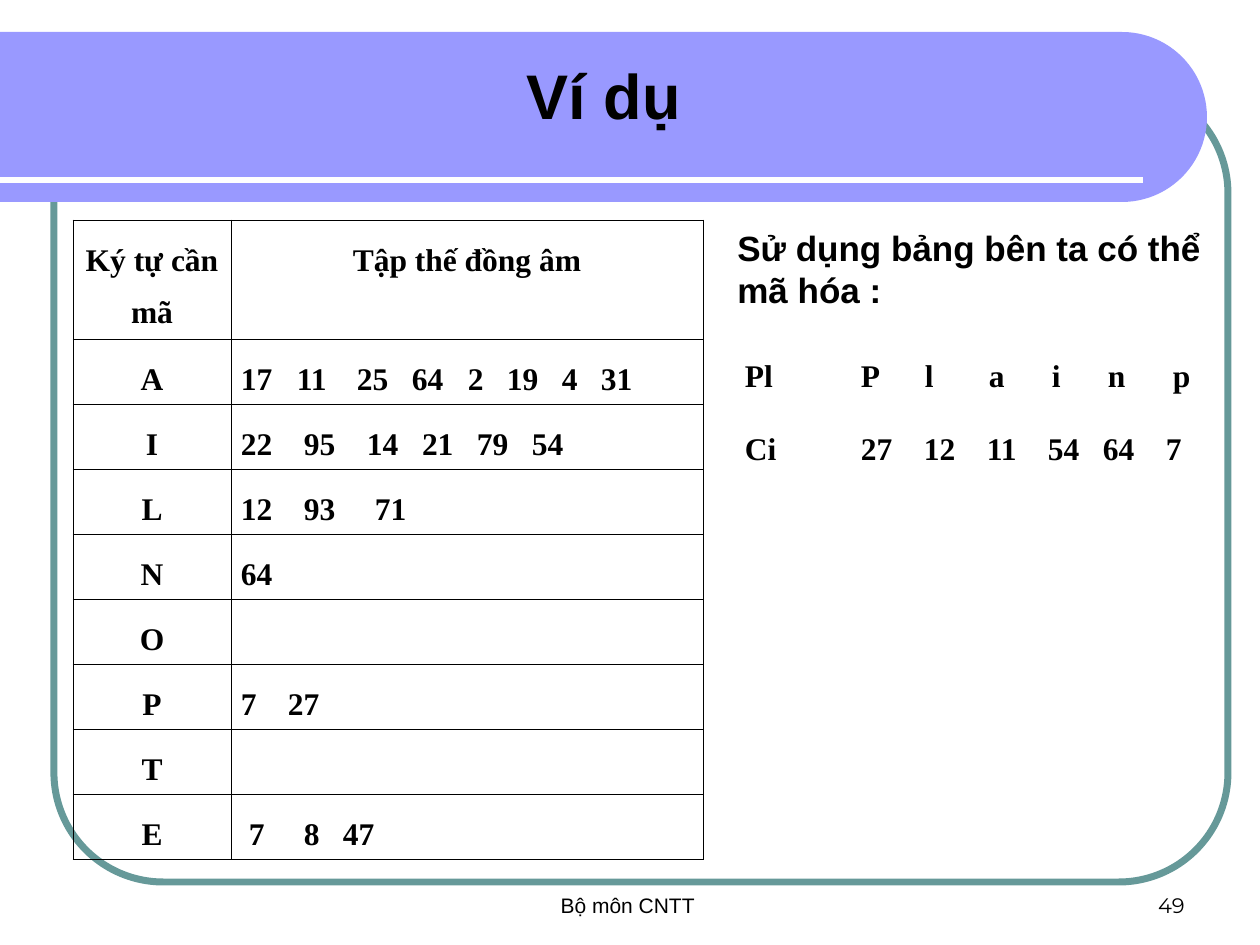
from dataclasses import dataclass
from math import cos, pi, sin

from lxml.etree import SubElement
from pptx import Presentation
from pptx.dml.color import RGBColor as Rgb
from pptx.enum.shapes import MSO_CONNECTOR as Conn, MSO_SHAPE as Shape
from pptx.enum.text import MSO_ANCHOR as Anchor, PP_ALIGN as Align
from pptx.oxml.ns import qn
from pptx.util import Pt


@dataclass(frozen=True)
class Theme:
    band: str = "9999FF"
    frame: str = "669999"
    ink: str = "000000"
    paper: str = "FFFFFF"
    sans: str = "Arial"
    serif: str = "Times New Roman"
    digit: str = "Montserrat"
    title: int = 36
    note: int = 20
    body: int = 18
    small: int = 12


T = Theme()
NO_STYLE = "{2D5ABB26-0587-4C30-8999-92F81FD0307C}"

# Each code is a word with its distance in px from the left of the text.
CODES = [
    ("A", [(0, "17"), (56, "11"), (116, "25"), (171, "64"),
           (227, "2"), (266, "19"), (321, "4"), (360, "31")]),
    ("I", [(0, "22"), (63, "95"), (126, "14"),
           (181, "21"), (236, "79"), (291, "54")]),
    ("L", [(0, "12"), (63, "93"), (134, "71")]),
    ("N", [(0, "64")]),
    ("O", []),
    ("P", [(0, "7"), (47, "27")]),
    ("T", []),
    ("E", [(8, "7"), (63, "8"), (102, "47")]),
]
SAMPLE = [
    ("Pl", [(0, "P"), (64, "l"), (128, "a"), (191, "i"), (247, "n"), (312, "p")]),
    ("Ci", [(0, "27"), (63, "12"), (126, "11"),
            (187, "54"), (242, "64"), (305, "7")]),
]


def px(n):
    return round(n * 914400 / 126)


def write(frame, text, size=T.body, font=T.sans, bold=False,
          align=Align.LEFT, space=None, stops=()):
    para = frame.paragraphs[0]
    if stops:
        tabs = SubElement(para._p.get_or_add_pPr(), qn("a:tabLst"))
        for stop in stops:
            SubElement(tabs, qn("a:tab"), pos=str(px(stop)), algn="l")
    para.alignment = align
    if space:
        para.line_spacing = space
    run = para.add_run()
    run.text = text
    run.font.size = Pt(size)
    run.font.name = font
    run.font.bold = bold
    run.font.color.rgb = Rgb.from_string(T.ink)


def label(slide, box, text, anchor=Anchor.TOP, **form):
    frame = slide.shapes.add_textbox(*map(px, box)).text_frame
    frame.word_wrap = True
    frame.vertical_anchor = anchor
    write(frame, text, **form)


def border(cell):
    props = cell._tc.get_or_add_tcPr()
    for n, side in enumerate(("lnL", "lnR", "lnT", "lnB")):
        line = props.makeelement(qn(f"a:{side}"), {"w": str(Pt(0.45))})
        props.insert(n, line)
        fill = SubElement(line, qn("a:solidFill"))
        SubElement(fill, qn("a:srgbClr"), val=T.ink)


def grid(slide, box, cols, rows, lined=False):
    """Add a plain table and return it."""
    shape = slide.shapes.add_table(len(rows), len(cols), *map(px, box))
    table = shape.table
    table.first_row = table.horz_banding = False
    table._tbl.tblPr.find(qn("a:tableStyleId")).text = NO_STYLE
    for col, wide in zip(table.columns, cols):
        col.width = px(wide)
    for row, high in zip(table.rows, rows):
        row.height = px(high)
    for cell in table.iter_cells():
        cell.margin_left = cell.margin_right = px(10)
        cell.margin_top, cell.margin_bottom = px(6), 0
        cell.fill.background()
        if lined:
            border(cell)
    return table


def fill_rows(table, data, first, align):
    form = dict(font=T.serif, bold=True, space=1.5)
    for r, (name, codes) in enumerate(data, first):
        write(table.cell(r, 0).text_frame, name, align=align, **form)
        if codes:
            stops = [x for x, _ in codes if x]
            text = "".join(("\t" if x else "") + word for x, word in codes)
            write(table.cell(r, 1).text_frame, text, stops=stops, **form)


def code_table(slide, box):
    """Place the code table; its head row takes what the others leave."""
    x, y, w, h = box
    high, side = 65, round(w / 4)
    rows = [h - high * len(CODES)] + [high] * len(CODES)
    table = grid(slide, box, (side, w - side), rows, lined=True)
    for c, head in enumerate(("Ký tự cần mã", "Tập thế đồng âm")):
        write(table.cell(0, c).text_frame, head, font=T.serif, bold=True,
              align=Align.CENTER, space=1.5)
    fill_rows(table, CODES, 1, Align.CENTER)


def sample(slide, box):
    """Place the note and, below it, the worked example."""
    x, y, w, h = box
    label(slide, (x, y, w, 97), "Sử dụng bảng bên ta có thể mã hóa :",
          size=T.note, bold=True)
    area = (x + 10, y + 116, w - 11, h - 116)
    table = grid(slide, area, (116, w - 127), [(h - 116) // 2] * 2)
    fill_rows(table, SAMPLE, 0, Align.LEFT)


def frame(slide, box):
    ring = slide.shapes.add_shape(Shape.ROUNDED_RECTANGLE, *map(px, box))
    ring.shadow.inherit = False
    ring.adjustments[0] = 0.137
    ring.fill.background()
    ring.line.color.rgb = Rgb.from_string(T.frame)
    ring.line.width = Pt(4)


def banner(slide, box):
    """Place the band with its round right end, the rule and the title."""
    x, y, w, h = box
    r, steps = h / 2, 48
    arc = [(px(x + w - r + r * sin(pi * n / steps)),
            px(y + r - r * cos(pi * n / steps))) for n in range(steps + 1)]
    path = slide.shapes.build_freeform(px(x), px(y))
    path.add_line_segments(arc + [(px(x), px(y + h))], close=True)
    band = path.convert_to_shape()
    band.shadow.inherit = False
    band.fill.solid()
    band.fill.fore_color.rgb = Rgb.from_string(T.band)
    band.line.fill.background()

    level = px(y + 148)
    rule = slide.shapes.add_connector(
        Conn.STRAIGHT, px(x), level, px(x + w - 64), level)
    rule.line.color.rgb = Rgb.from_string(T.paper)
    rule.line.width = Pt(3)
    SubElement(rule._element.spPr, qn("a:effectLst"))
    label(slide, (x + 27, y - 1, w - 36, 126), "Ví dụ ", Anchor.MIDDLE,
          size=T.title, bold=True, align=Align.CENTER)


def footer(slide, box):
    x, y, w, h = box
    label(slide, (x, y, 399, h), "Bộ môn CNTT ", Anchor.BOTTOM,
          size=T.small, align=Align.CENTER)
    label(slide, (x + w - 294, y, 294, h), "49", Anchor.BOTTOM,
          size=T.small, font=T.digit, align=Align.RIGHT)


def main():
    deck = Presentation()
    deck.slide_width, deck.slide_height = px(1260), px(945)
    slide = deck.slides.add_slide(deck.slide_layouts[6])
    frame(slide, (54, 84, 1174, 798))
    banner(slide, (0, 32, 1207, 170))
    code_table(slide, (73, 220, 630, 639))
    footer(slide, (431, 861, 766, 63))
    sample(slide, (725, 220, 494, 263))
    deck.save("out.pptx")


if __name__ == "__main__":
    main()
